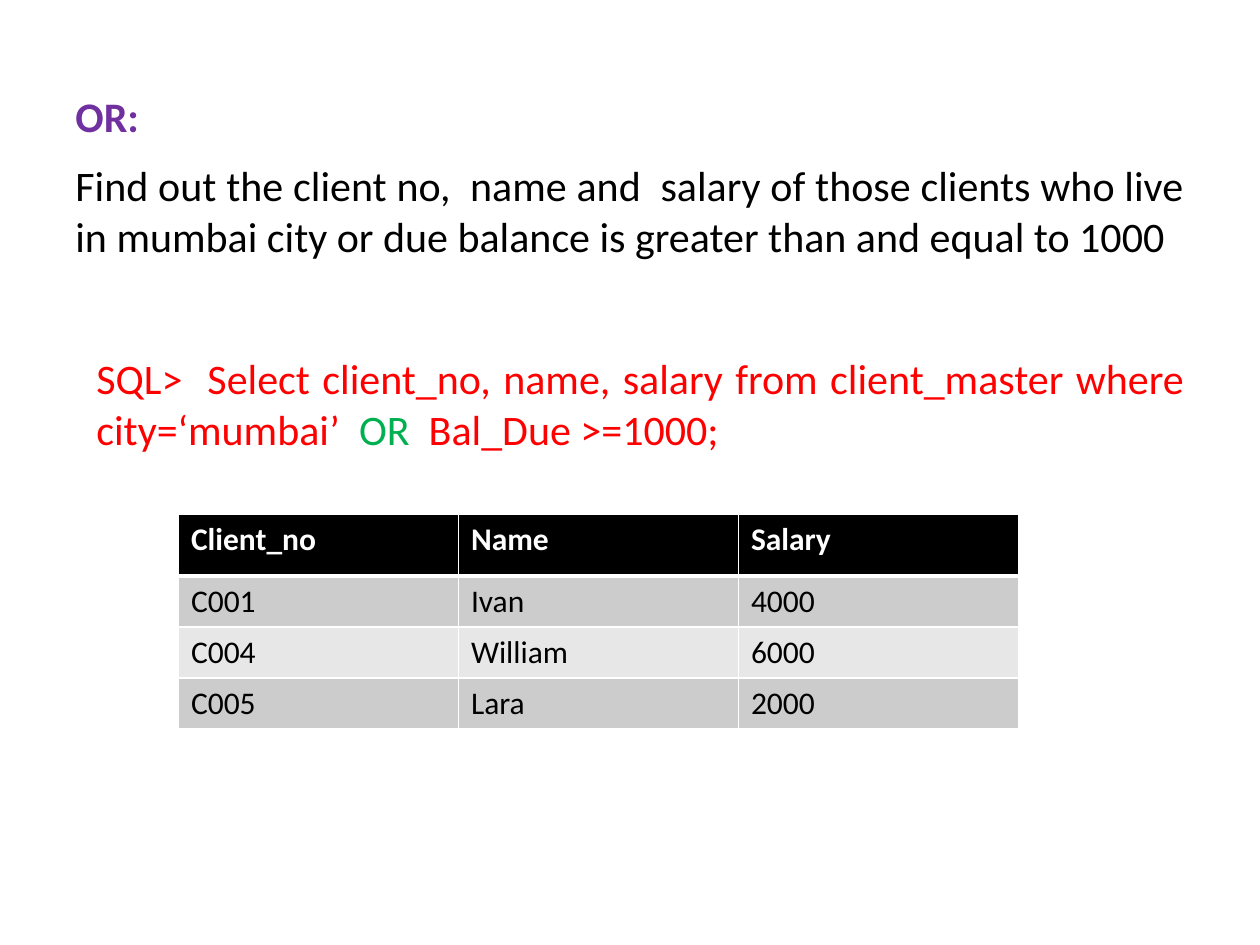
"""Builds a slide that explains the SQL OR operator with a query and its result."""
from dataclasses import dataclass

from lxml.etree import SubElement
from pptx import Presentation
from pptx.dml.color import RGBColor
from pptx.enum.text import PP_ALIGN
from pptx.oxml.ns import qn
from pptx.util import Inches, Pt


@dataclass(frozen=True)
class Theme:
    font: str = "Calibri"
    body: int = 24
    cell: int = 18
    gap: int = 11
    thin: int = 1
    thick: int = 3
    heading: str = "7030A0"
    text: str = "000000"
    code: str = "FF0000"
    keyword: str = "00B050"
    header_text: str = "FFFFFF"
    header_fill: str = "000000"
    bands: tuple = ("CCCCCC", "E7E7E7")
    border: str = "FFFFFF"


class Deck:
    COLUMNS, ROWS = 120, 90

    def __init__(self, theme, width=10, height=7.5):
        self.theme = theme
        self.prs = Presentation()
        self.prs.slide_width, self.prs.slide_height = Inches(width), Inches(height)
        self.s = self.prs.slides.add_slide(self.prs.slide_layouts[6])

    def x(self, columns):
        return round(self.prs.slide_width * columns / self.COLUMNS)

    def y(self, rows):
        return round(self.prs.slide_height * rows / self.ROWS)

    def run(self, p, text, color, size, bold=False):
        r = p.add_run()
        r.text = text
        style = {"name": self.theme.font, "size": Pt(size), "bold": bold}
        for name, value in style.items():
            setattr(r.font, name, value)
        r.font.color.rgb = RGBColor.from_string(color)

    def text(self, left, top, width, height, paragraphs):
        sp = self.s.shapes.add_textbox(self.x(left), self.y(top), self.x(width), self.y(height))
        tf = sp.text_frame
        tf.word_wrap = True
        for i, runs in enumerate(paragraphs):
            p = tf.add_paragraph() if i else tf.paragraphs[0]
            layout = {"alignment": PP_ALIGN.JUSTIFY, "space_before": Pt(self.theme.gap if i else 0)}
            for name, value in layout.items():
                setattr(p, name, value)
            for text, color, bold in runs:
                self.run(p, text, color, self.theme.body, bold)

    def borders(self, cell, **widths):
        tc_pr = cell._tc.get_or_add_tcPr()
        for side in "LRTB":
            width = widths.get(side, self.theme.thin)
            ln = SubElement(tc_pr, qn(f"a:ln{side}"), w=str(Pt(width)))
            fill = SubElement(ln, qn("a:solidFill"))
            SubElement(fill, qn("a:srgbClr"), val=self.theme.border)

    def table(self, left, top, width, heights, rows):
        th = self.theme
        frame = self.s.shapes.add_table(
            len(rows), len(rows[0]), self.x(left), self.y(top), self.x(width), self.y(sum(heights)))
        table = frame.table
        for i, (row, height) in enumerate(zip(rows, heights)):
            table.rows[i].height = self.y(height)
            header = i == 0
            color = th.header_text if header else th.text
            shade = th.header_fill if header else th.bands[(i - 1) % 2]
            edges = {0: {"B": th.thick}, 1: {"T": th.thick}}.get(i, {})
            for j, value in enumerate(row):
                cell = table.cell(i, j)
                self.borders(cell, **edges)
                cell.fill.solid()
                cell.fill.fore_color.rgb = RGBColor.from_string(shade)
                self.run(cell.text_frame.paragraphs[0], value, color, th.cell, header)


def main():
    th = Theme()
    deck = Deck(th)
    deck.text(6, 8, 108, 17.5, [
        [("OR:", th.heading, True)],
        [("Find out the client no,  name and  salary of those clients who live in mumbai city "
          "or due balance is greater than and equal to 1000", th.text, False)],
    ])
    deck.text(8, 33, 106, 11, [[
        ("SQL>  Select client_no, name, salary from client_master where city=‘mumbai’  ", th.code, False),
        ("OR  ", th.keyword, False),
        ("Bal_Due >=1000;", th.code, False),
    ]])
    deck.table(17, 49, 80, [5.85] + [4.87] * 3, [
        ("Client_no", "Name", "Salary"),
        ("C001", "Ivan", "4000"),
        ("C004", "William", "6000"),
        ("C005", "Lara", "2000"),
    ])
    deck.prs.save("out.pptx")


if __name__ == "__main__":
    main()
